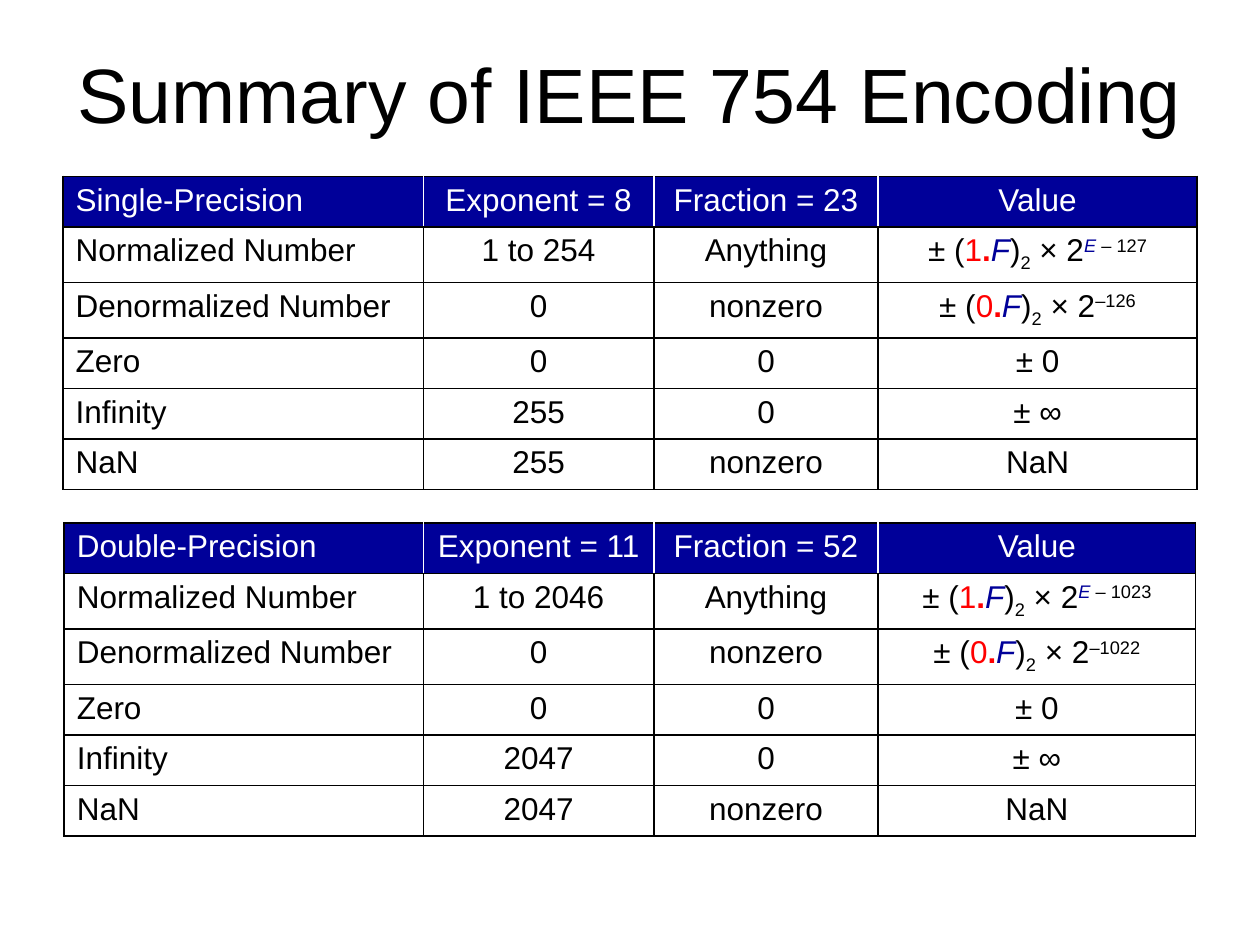
import pptx
import pptx.dml.color
import pptx.enum.text
import pptx.oxml
import pptx.oxml.ns
import pptx.util

THEME = {
    "font": "Arial",
    "title_size": 44,
    "body_size": 18,
    "ink": "000000",
    "paper": "FFFFFF",
    "accent": "000099",
    "leading_bit": "FF0000",
    "border": 1,
}
PP_ALIGN = pptx.enum.text.PP_ALIGN
MIDDLE = pptx.enum.text.MSO_ANCHOR.MIDDLE


def style(run, size, color, bold=False, italic=False, baseline=0):
    run.font.name = THEME["font"]
    run.font.size = pptx.util.Pt(size)
    run.font.bold = bold
    run.font.italic = italic
    run.font.color.rgb = pptx.dml.color.RGBColor.from_string(color)
    if baseline:
        run.font._element.set("baseline", str(baseline * 1000))


def add_border(cell, side, color):
    cell._tc.get_or_add_tcPr().append(pptx.oxml.parse_xml(
        f'<a:ln{side} {pptx.oxml.ns.nsdecls("a")} w="{pptx.util.Pt(THEME["border"])}">'
        f'<a:solidFill><a:srgbClr val="{color}"/></a:solidFill></a:ln{side}>'))


prs = pptx.Presentation()
prs.slide_width = pptx.util.Inches(10)
prs.slide_height = pptx.util.Inches(7.5)
W, H = prs.slide_width, prs.slide_height
slide = prs.slides.add_slide(prs.slide_layouts[6])

heading = slide.shapes.add_textbox(
    int(0.05 * W), int(0.04 * H), int(0.9 * W), int(0.116 * H)).text_frame
heading.word_wrap = True
heading.margin_left = heading.margin_right = 0
heading.vertical_anchor = MIDDLE
heading.text = "Summary of IEEE 754 Encoding"
heading.paragraphs[0].alignment = PP_ALIGN.CENTER
style(heading.paragraphs[0].runs[0], THEME["title_size"], THEME["ink"])

row_height = int(0.4 / 7.5 * H)
formats = [
    ("Single-Precision", 8, 23, 127, 0.05, 1.4 / 7.5, (0.286, 0.183, 0.178, 0.253)),
    ("Double-Precision", 11, 52, 1023, 0.051, 4.15 / 7.5, (0.285, 0.183, 0.178, 0.252)),
]

for precision, exponent_bits, fraction_bits, bias, left, top, shares in formats:
    top_exponent = 2 ** exponent_bits - 1
    values = []
    for leading_bit, power in (
        ("1", [("E ", {"color": THEME["accent"], "italic": True, "baseline": 30}),
               (f"– {bias}", {"baseline": 30})]),
        ("0", [(f"–{bias - 1}", {"baseline": 30})]),
    ):
        values.append([
            ("± (", {}),
            (leading_bit, {"color": THEME["leading_bit"]}),
            (".", {"color": THEME["leading_bit"], "bold": True}),
            ("F", {"color": THEME["accent"], "italic": True}),
            (")", {}),
            ("2", {"baseline": -25}),
            (" × 2", {}),
            *power,
        ])
    normalized, denormalized = values
    encoding = [
        (precision, f"Exponent = {exponent_bits}", f"Fraction = {fraction_bits}", "Value"),
        ("Normalized Number", f"1 to {top_exponent - 1}", "Anything", normalized),
        ("Denormalized Number", "0", "nonzero", denormalized),
        ("Zero", "0", "0", "± 0"),
        ("Infinity", str(top_exponent), "0", "± ∞"),
        ("NaN", str(top_exponent), "nonzero", "NaN"),
    ]

    table = slide.shapes.add_table(
        len(encoding), len(shares), int(left * W), int(top * H),
        int(sum(shares) * W), row_height * len(encoding)).table
    table.first_row = False
    table.horz_banding = False
    for column, share in zip(table.columns, shares):
        column.width = int(share * W)

    for r, entries in enumerate(encoding):
        table.rows[r].height = row_height
        is_header = r == 0
        text_color = THEME["paper"] if is_header else THEME["ink"]
        for c, entry in enumerate(entries):
            cell = table.cell(r, c)
            divider = THEME["paper"] if is_header else THEME["ink"]
            add_border(cell, "L", divider if c > 0 else THEME["ink"])
            add_border(cell, "R", divider if c < len(shares) - 1 else THEME["ink"])
            add_border(cell, "T", THEME["ink"])
            add_border(cell, "B", THEME["ink"])
            if is_header:
                cell.fill.solid()
                cell.fill.fore_color.rgb = pptx.dml.color.RGBColor.from_string(THEME["accent"])
            else:
                cell.fill.background()
            paragraph = cell.text_frame.paragraphs[0]
            paragraph.alignment = PP_ALIGN.CENTER if c else PP_ALIGN.LEFT
            parts = [(entry, {})] if isinstance(entry, str) else entry
            for text, look in parts:
                run = paragraph.add_run()
                run.text = text
                style(run, THEME["body_size"], **{"color": text_color, **look})

prs.save("out.pptx")
